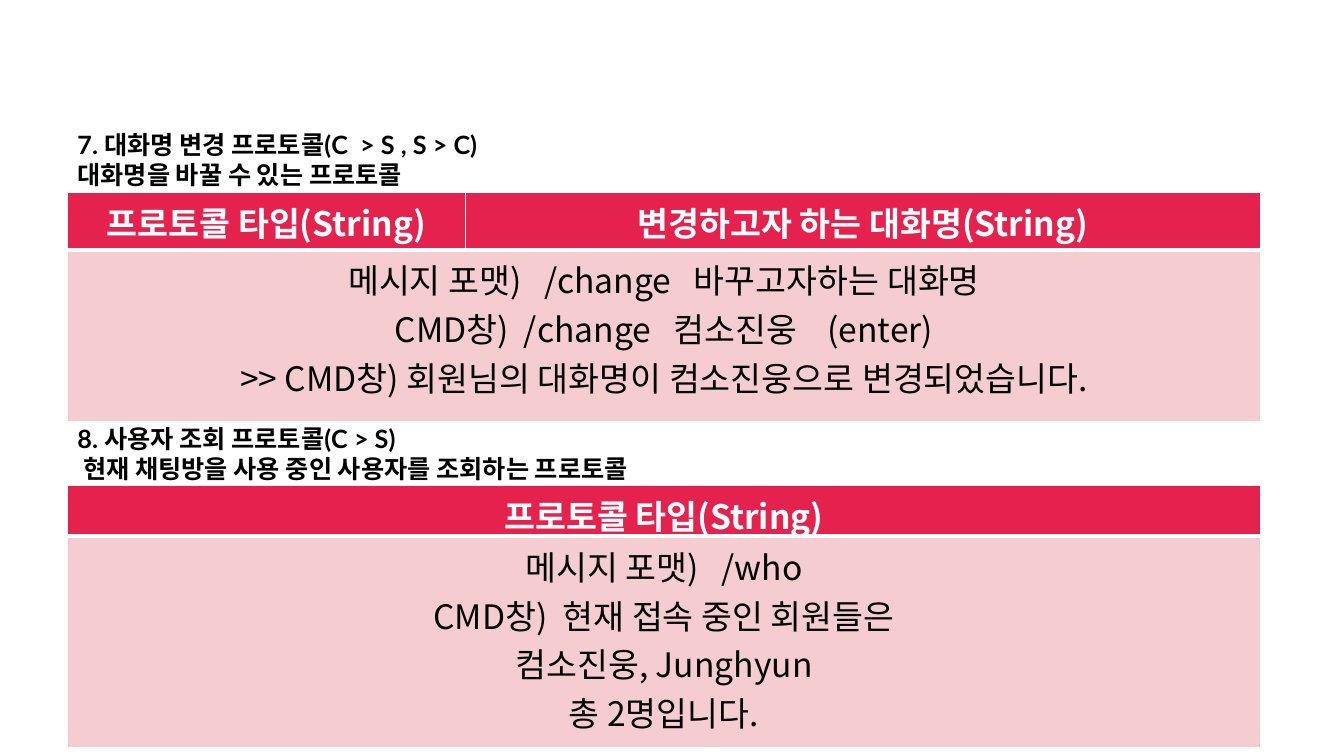
import pptx
import pptx.util
import pptx.dml.color
import pptx.enum.text
import pptx.oxml.ns
import lxml.etree

Inches = pptx.util.Inches
WIDTH, HEIGHT = 13.33, 7.5
LEFT, TABLE_WIDTH = 0.67, 11.83
HEADER_FILL, BODY_FILL, WHITE, BLACK = "E5224E", "F5CDD0", "FFFFFF", "000000"
HEADING_FONT, TABLE_FONT = "Lato", "Noto Sans CJK KR"

# Content: one entry per protocol; columns are shares of the table width
PROTOCOLS = [
    {
        "heading": ["7. 대화명 변경 프로토콜(C  > S , S > C)",
                    "대화명을 바꿀 수 있는 프로토콜"],
        "heading_box": (1.23, 10.22),
        "header": ["프로토콜 타입(String)", "변경하고자 하는 대화명(String)"],
        "columns": [1 / 3, 2 / 3],
        "body": ["메시지 포맷)   /change   바꾸고자하는 대화명",
                 "CMD창)  /change   컴소진웅    (enter)",
                 ">> CMD창) 회원님의 대화명이 컴소진웅으로 변경되었습니다."],
        "table_top": 1.91, "rows": [0.57, 1.7],
    },
    {
        "heading": ["8. 사용자 조회 프로토콜(C > S)",
                    " 현재 채팅방을 사용 중인 사용자를 조회하는 프로토콜"],
        "heading_box": (4.15, TABLE_WIDTH),
        "header": ["프로토콜 타입(String)"],
        "columns": [1],
        "body": ["메시지 포맷)   /who",
                 "CMD창)  현재 접속 중인 회원들은",
                 "컴소진웅, Junghyun",
                 "총 2명입니다."],
        "table_top": 4.82, "rows": [0.5, 2.1],
    },
]


def color(hex_value):
    return pptx.dml.color.RGBColor.from_string(hex_value)


def write(tf, lines, size=24, font=TABLE_FONT, fill=BLACK, bold=False, align="LEFT"):
    for i, line in enumerate(lines):
        p = tf.paragraphs[0] if i == 0 else tf.add_paragraph()
        p.alignment = getattr(pptx.enum.text.PP_ALIGN, align)
        r = p.add_run()
        r.text = line
        r.font.size = pptx.util.Pt(size)
        r.font.name = font
        r.font.bold = bold
        r.font.color.rgb = color(fill)
        # Hangul typeface
        ea = lxml.etree.SubElement(r.font._element, pptx.oxml.ns.qn("a:ea"))
        ea.set("typeface", TABLE_FONT)


def style_cell(cell, fill, bottom=1):
    # White borders, then the fill
    qn = pptx.oxml.ns.qn
    tc_pr = cell._tc.get_or_add_tcPr()
    for side, width in (("L", 1), ("R", 1), ("T", 1), ("B", bottom)):
        if side == "T" and fill == BODY_FILL:
            continue  # the header's thick bottom border shows here
        ln = lxml.etree.SubElement(tc_pr, qn("a:ln" + side), w=str(pptx.util.Pt(width)))
        solid = lxml.etree.SubElement(ln, qn("a:solidFill"))
        lxml.etree.SubElement(solid, qn("a:srgbClr"), val=WHITE)
    cell.fill.solid()
    cell.fill.fore_color.rgb = color(fill)


def add_heading(s, protocol):
    top, width = protocol["heading_box"]
    sp = s.shapes.add_textbox(Inches(LEFT), Inches(top), Inches(width), Inches(0.71))
    sp.text_frame.word_wrap = True
    write(sp.text_frame, protocol["heading"], size=18, font=HEADING_FONT, bold=True)


def add_protocol_table(s, protocol):
    shares, rows = protocol["columns"], protocol["rows"]
    table = s.shapes.add_table(len(rows), len(shares), Inches(LEFT),
                               Inches(protocol["table_top"]),
                               Inches(TABLE_WIDTH), Inches(sum(rows))).table
    for row, row_height in zip(table.rows, rows):
        row.height = Inches(row_height)
    for i, share in enumerate(shares):
        table.columns[i].width = Inches(TABLE_WIDTH * share)
        style_cell(table.cell(0, i), HEADER_FILL, bottom=3)
        style_cell(table.cell(1, i), BODY_FILL)
        write(table.cell(0, i).text_frame, [protocol["header"][i]],
              fill=WHITE, bold=True, align="CENTER")
    # The message format spans the full width
    body = table.cell(1, 0)
    if len(shares) > 1:
        body.merge(table.cell(1, len(shares) - 1))
    write(body.text_frame, protocol["body"], align="CENTER")


def main():
    prs = pptx.Presentation()
    prs.slide_width, prs.slide_height = Inches(WIDTH), Inches(HEIGHT)
    s = prs.slides.add_slide(prs.slide_layouts[6])
    for protocol in PROTOCOLS:
        add_heading(s, protocol)
        add_protocol_table(s, protocol)
    prs.save("out.pptx")


if __name__ == "__main__":
    main()
